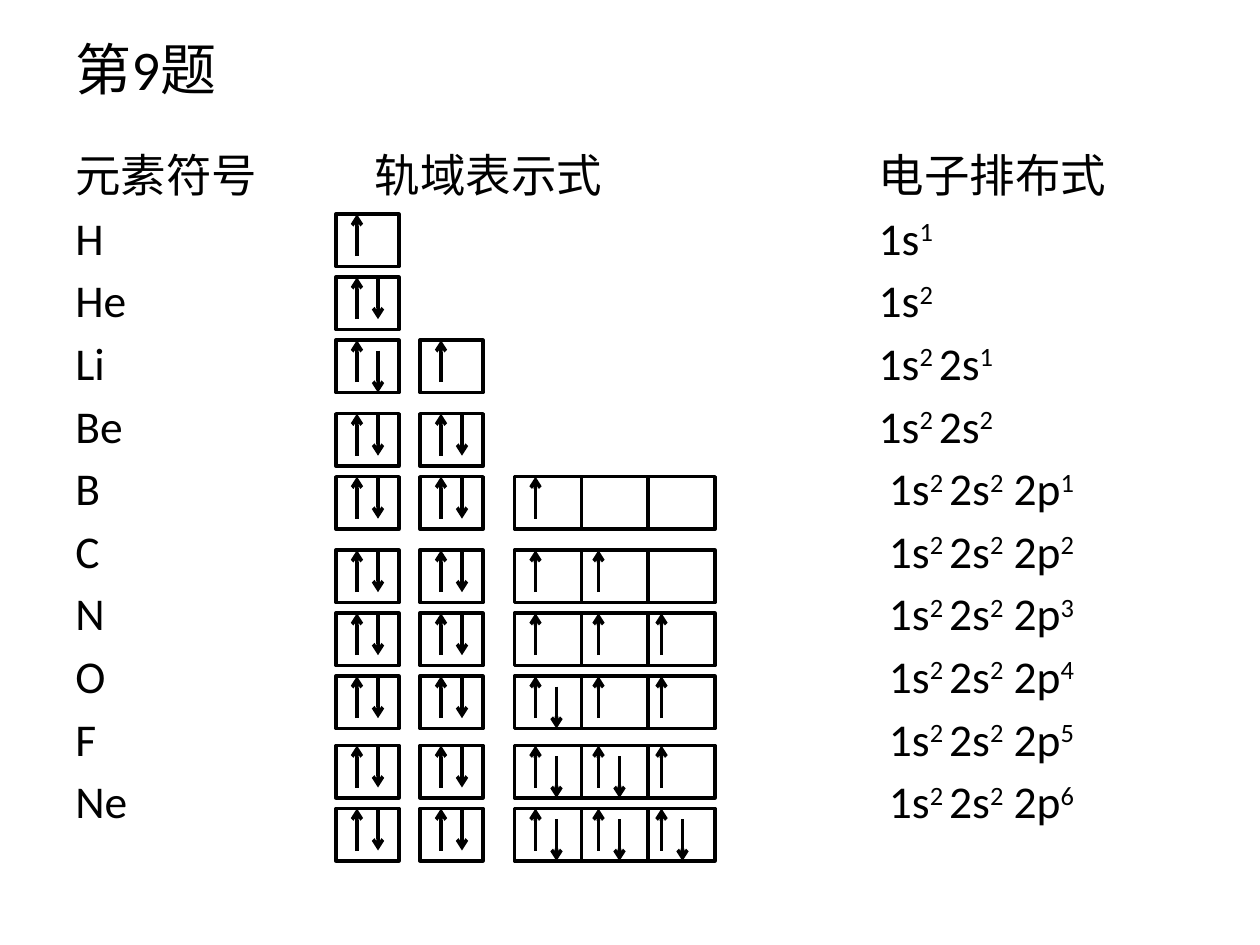
from lxml.etree import SubElement
from pptx import Presentation
from pptx.dml.color import RGBColor
from pptx.enum.shapes import MSO_CONNECTOR as LINE, MSO_SHAPE as SHAPE
from pptx.enum.text import MSO_ANCHOR as ANCHOR, PP_ALIGN as ALIGN
from pptx.oxml.ns import qn
from pptx.util import Pt

# Content: symbol, top of its boxes, electrons in 1s, 2s and 2p
TITLE = "第9题"
HEADS = ["元素符号", "轨域表示式", "电子排布式"]
ROWS = [
    ("H", 122.4, (1,)),
    ("He", 158.4, (2,)),
    ("Li", 194.4, (2, 1)),
    ("Be", 236.4, (2, 2)),
    ("B", 272.4, (2, 2, 1)),
    ("C", 314.4, (2, 2, 2)),
    ("N", 350.4, (2, 2, 3)),
    ("O", 386.4, (2, 2, 4)),
    ("F", 426, (2, 2, 5)),
    ("Ne", 462, (2, 2, 6)),
]
# Each shell: left edge, box width, box count
SHELLS = [(192, 36, 1), (240, 36, 1), (294, 38.2, 3)]
TABS = [171, 459]
HIGH, STEP, LONG, DROP = 30, 36, 24, 6
BLACK = RGBColor(0, 0, 0)
FONT = "Calibri"


def style(font, size):
    font.name, font.size = FONT, Pt(size)
    font.color.rgb = BLACK


def set_tabs(para):
    tabs = SubElement(para._p.get_or_add_pPr(), qn("a:tabLst"))
    for pos in TABS:
        SubElement(tabs, qn("a:tab"), pos=str(int(Pt(pos))), algn="l")


def add_box(shapes, x, y, wide):
    box = shapes.add_shape(SHAPE.RECTANGLE, Pt(x), Pt(y), Pt(wide), Pt(HIGH))
    box.shadow.inherit = False
    box.fill.background()
    box.line.color.rgb = BLACK
    box.line.width = Pt(2)


def add_arrow(shapes, x, start, end):
    arrow = shapes.add_connector(LINE.STRAIGHT, Pt(x), Pt(start), Pt(x), Pt(end))
    arrow.line.color.rgb = BLACK
    arrow.line.width = Pt(2)
    SubElement(arrow.line._get_or_add_ln(), qn("a:tailEnd"), type="arrow")
    SubElement(arrow._element.spPr, qn("a:effectLst"))


def add_run(para, text, raised=False):
    run = para.add_run()
    run.text = text
    if raised:
        run.font._element.set("baseline", "30000")


deck = Presentation()
deck.slide_width, deck.slide_height = Pt(720), Pt(540)
slide = deck.slides.add_slide(deck.slide_layouts[5])
shapes = slide.shapes

# Title
title = shapes.title
title.left, title.top, title.width, title.height = Pt(36), Pt(0), Pt(648), Pt(78)
title.text_frame.text = TITLE
title.text_frame.vertical_anchor = ANCHOR.MIDDLE
para = title.text_frame.paragraphs[0]
para.alignment = ALIGN.LEFT
style(para.font, 32)

# Symbols and configurations, set on tabs
frame = shapes.add_textbox(Pt(36), Pt(80.6), Pt(648), Pt(441)).text_frame
frame.word_wrap = True
para = frame.paragraphs[0]
set_tabs(para)
add_run(para, "\t".join(HEADS))
style(para.font, 26)
for symbol, _, counts in ROWS:
    para = frame.add_paragraph()
    para.space_before = Pt(4.6)
    set_tabs(para)
    style(para.font, 26)
    add_run(para, symbol + "\t\t" + (" 1s" if len(counts) == 3 else "1s"))
    for i, count in enumerate(counts):
        if i:
            add_run(para, ("2s", " 2p")[i - 1])
        gap = " " if i == 0 and len(counts) > 1 else ""
        add_run(para, f"{count}{gap}", raised=True)

# Orbital boxes, one spin up in each before any spin down
for symbol, top, counts in ROWS:
    for (left, wide, boxes), count in zip(SHELLS, counts):
        home = shapes if boxes == 1 else shapes.add_group_shape().shapes
        for i in range(boxes):
            add_box(home, left + i * wide, top, wide)
        low = boxes > 1 or (symbol == "Li" and count == 2)
        for i in range(count):
            down, slot = divmod(i, boxes)
            x = left + 12 + slot * STEP + down * 12
            if down:
                start = top + (DROP if low else 0)
                add_arrow(shapes, x, start, start + LONG)
            else:
                add_arrow(shapes, x, top + LONG, top)

deck.save("out.pptx")
